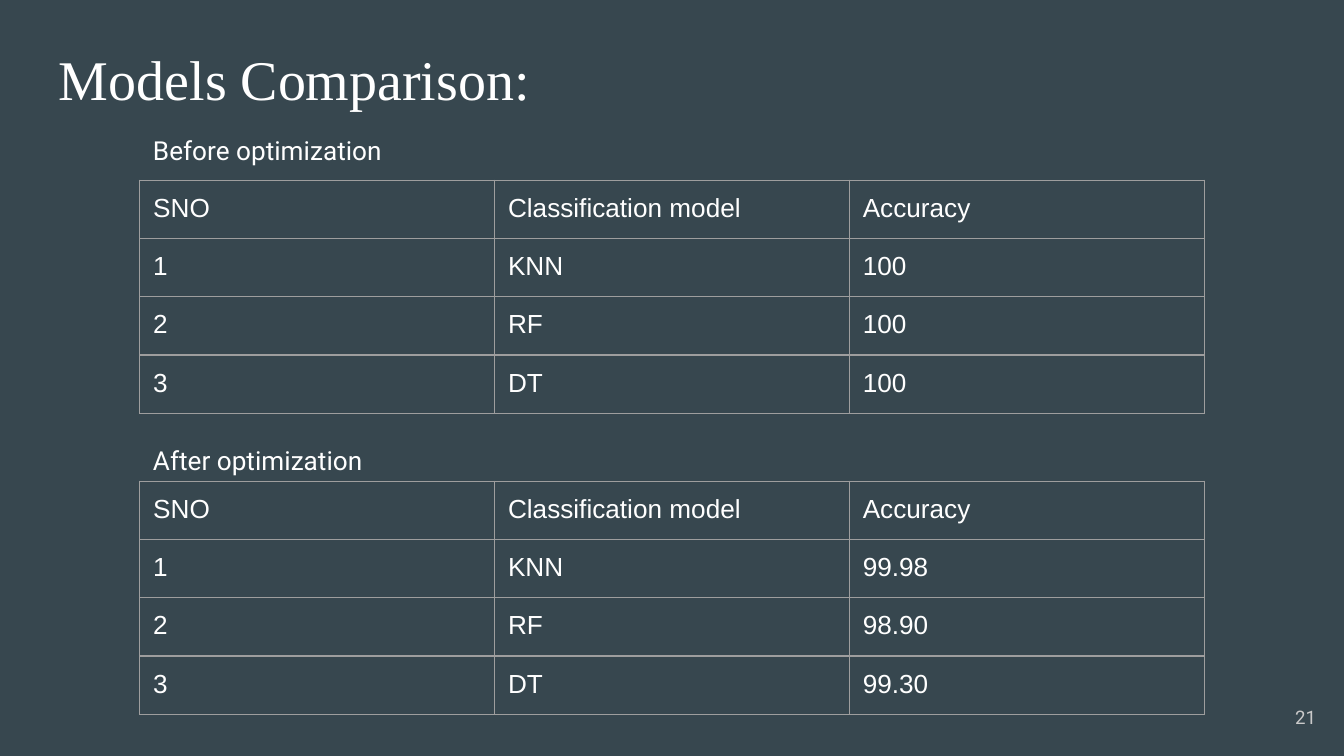
from dataclasses import dataclass

from lxml.etree import SubElement
from pptx import Presentation
from pptx.dml.color import RGBColor
from pptx.enum.text import MSO_ANCHOR as Anchor, PP_ALIGN as Align
from pptx.oxml.ns import qn
from pptx.util import Inches, Pt


@dataclass(frozen=True)
class Theme:
    """Colours, fonts and type sizes of the slide."""
    background: str = "37474F"
    text: str = "FFFFFF"
    muted: str = "CACACA"
    border: str = "9E9E9E"
    title_font: str = "Times New Roman"
    label_font: str = "Roboto"
    table_font: str = "Arial"
    title_size: float = 30
    body_size: float = 14
    number_size: float = 10
    border_width: float = 0.75
    inset: float = 0.1


THEME = Theme()
HEADINGS = ("SNO", "Classification model", "Accuracy")
MODELS = ("KNN", "RF", "DT")


def set_insets(holder):
    """Give a text frame or a cell the same inset on all sides."""
    holder.margin_left = holder.margin_right = Inches(THEME.inset)
    holder.margin_top = holder.margin_bottom = Inches(THEME.inset)


def write(frame, wording, font, size, color=THEME.text, align=Align.LEFT):
    """Put one formatted paragraph into a text frame."""
    frame.text = wording
    paragraph = frame.paragraphs[0]
    paragraph.alignment = align
    for run in paragraph.runs:
        run.font.name = font
        run.font.size = Pt(size)
        run.font.color.rgb = RGBColor.from_string(color)


def add_label(slide, box, wording, font, size, anchor=Anchor.TOP, **style):
    """Add wrapped text in the box (left, top, width, height)."""
    frame = slide.shapes.add_textbox(*map(Inches, box)).text_frame
    frame.word_wrap = True
    frame.vertical_anchor = anchor
    set_insets(frame)
    write(frame, wording, font, size, **style)


def add_borders(cell):
    """Draw a thin line on each side of a cell."""
    properties = cell._tc.get_or_add_tcPr()
    for position, side in enumerate(("lnL", "lnR", "lnT", "lnB")):
        line = SubElement(properties, qn(f"a:{side}"), w=str(Pt(THEME.border_width)))
        fill = SubElement(line, qn("a:solidFill"))
        SubElement(fill, qn("a:srgbClr"), val=THEME.border)
        properties.insert(position, line)


def add_accuracy_table(slide, box, accuracies):
    """Add the table of models and their accuracies in the box."""
    rows = [HEADINGS]
    for number, (model, accuracy) in enumerate(zip(MODELS, accuracies), 1):
        rows.append((str(number), model, accuracy))
    table = slide.shapes.add_table(len(rows), len(HEADINGS), *map(Inches, box)).table
    table.first_row = table.horz_banding = False
    for row, values in zip(table.rows, rows):
        for cell, value in zip(row.cells, values):
            set_insets(cell)
            write(cell.text_frame, value, THEME.table_font, THEME.body_size)
            cell.fill.background()
            add_borders(cell)


def add_comparison_slide(deck):
    """Build the slide with the results before and after optimization."""
    slide = deck.slides.add_slide(deck.slide_layouts[6])
    backdrop = slide.background.fill
    backdrop.solid()
    backdrop.fore_color.rgb = RGBColor.from_string(THEME.background)

    add_label(slide, (0.34, 0.23, 9.32, 0.63), "Models Comparison:",
              THEME.title_font, THEME.title_size)
    stages = (
        ("Before optimization", 0.9, 1.34, ("100", "100", "100")),
        ("After optimization", 3.21, 3.58, ("99.98", "98.90", "99.30")),
    )
    left = 1.04
    for stage, label_top, table_top, accuracies in stages:
        add_label(slide, (left, label_top, 6.86, 0.44), stage,
                  THEME.label_font, THEME.body_size)
        add_accuracy_table(slide, (left, table_top, 7.92, 1.73), accuracies)
    add_label(slide, (9.29, 5.12, 0.6, 0.43), "21", THEME.label_font,
              THEME.number_size, Anchor.MIDDLE, color=THEME.muted, align=Align.RIGHT)


deck = Presentation()
deck.slide_width = Inches(10)
deck.slide_height = Inches(10 * 9 / 16)
add_comparison_slide(deck)
deck.save("out.pptx")
